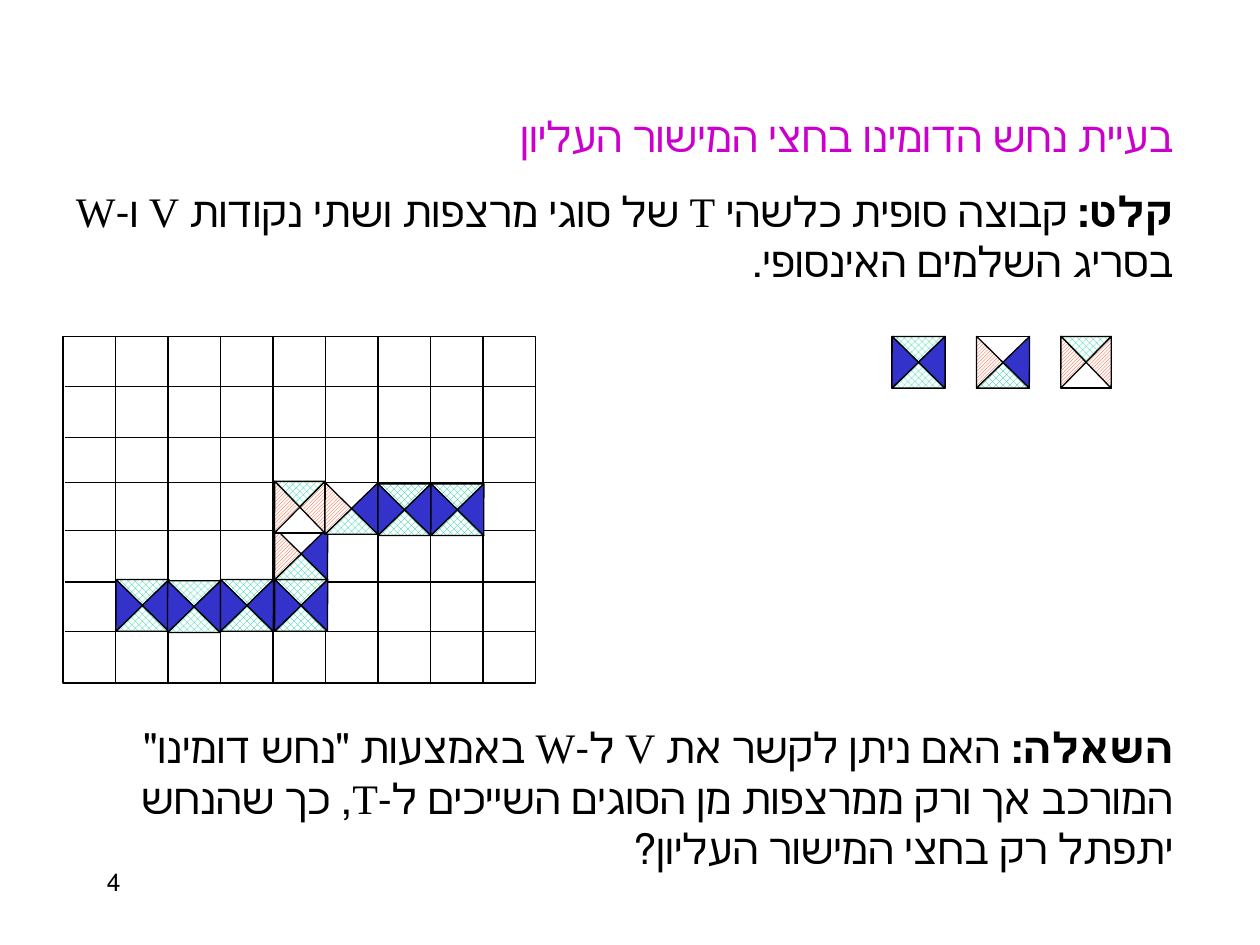
from dataclasses import dataclass

from lxml import etree
from pptx import Presentation
from pptx import util as u
from pptx.dml.color import RGBColor
from pptx.enum import dml, shapes, text
from pptx.oxml.ns import qn


@dataclass(frozen=True)
class Theme:
    ink: str = "000000"
    paper: str = "FFFFFF"
    title: str = "CC00CC"
    blue: str = "3333CC"
    green: str = "00CC99"
    red: str = "FF3300"
    font: str = "Times New Roman"
    body_size: int = 24
    number_size: int = 14
    line_width: float = 0.75


TILE_W, TILE_H = 0.42, 0.41
MIRRORED_W = 0.4
CELL = 3.75 / 9
BOARD = (0.5, 2.67, 3.75, 2.75)
ROW_LINES = (3.07, 3.47, 3.83, 4.21, 4.62, 5.01)

TILES = {
    "straight": {"top": "green", "bottom": "green", "right": "blue", "left": "blue"},
    "turn": {"bottom": "green", "right": "blue", "left": "red"},
    "mirrored": {"top": "green", "left": "red", "right": "red"},
}
SAMPLES = [("turn", 7.75, 2.67), ("straight", 7.08, 2.67), ("mirrored", 8.42, 2.67)]
SNAKE = [
    ("straight", 0.92, 4.6), ("straight", 1.33, 4.61),
    ("straight", 1.75, 4.6), ("straight", 2.18, 4.6),
    ("turn", 2.18, 4.19), ("mirrored", 2.18, 3.82),
    ("turn", 2.58, 3.83), ("straight", 3, 3.84), ("straight", 3.42, 3.84),
]


def color(value):
    return RGBColor.from_string(value)


def add_span(para, content, *, font, size, ink, bold=False):
    span = para.add_run()
    span.text = content
    span.font.name = font
    span.font.size = u.Pt(size)
    span.font.bold = bold
    span.font.color.rgb = color(ink)


class Painter:
    def __init__(self, page, theme):
        self.page = page
        self.theme = theme

    def text(self, left, top, width, height, spans, *, size=None, ink=None,
             align=text.PP_ALIGN.RIGHT):
        """Add a right-to-left paragraph; spans are (wording, bold) pairs."""
        box = self.page.shapes.add_textbox(*map(u.Inches, (left, top, width, height)))
        box.text_frame.word_wrap = True
        para = box.text_frame.paragraphs[0]
        para.alignment = align
        para._p.get_or_add_pPr().set("rtl", "1")
        for content, bold in spans:
            add_span(para, content, font=self.theme.font, bold=bold,
                     size=size or self.theme.body_size, ink=ink or self.theme.ink)

    def outline(self, item):
        item.line.color.rgb = color(self.theme.ink)
        item.line.width = u.Pt(self.theme.line_width)

    def shape(self, group, kind, left, top, width, height, *, rotation=0, flipped=False):
        item = group.shapes.add_shape(kind, *map(u.Inches, (left, top, width, height)))
        item.shadow.inherit = False
        self.outline(item)
        item.rotation = rotation
        if flipped:
            xfrm = item._element.spPr.get_or_add_xfrm()
            xfrm.flipH = xfrm.flipV = True
        return item

    def line(self, group, x1, y1, x2, y2):
        item = group.shapes.add_connector(
            shapes.MSO_CONNECTOR.STRAIGHT, *map(u.Inches, (x1, y1, x2, y2)))
        self.outline(item)
        etree.SubElement(item._element.spPr, qn("a:effectLst"))

    def paint(self, item, name):
        """Blue is solid; green is diamond hatched and red is striped."""
        patterns = {"green": dml.MSO_PATTERN.SOLID_DIAMOND,
                    "red": dml.MSO_PATTERN.DARK_UPWARD_DIAGONAL}
        ink = color(getattr(self.theme, name))
        if name in patterns:
            item.fill.patterned()
            item.fill.pattern = patterns[name]
            item.fill.fore_color.rgb = ink
            item.fill.back_color.rgb = color(self.theme.paper)
        else:
            item.fill.solid()
            item.fill.fore_color.rgb = ink

    def tile(self, kind, left, top):
        group = self.page.shapes.add_group_shape()
        flipped = kind == "mirrored"
        width = MIRRORED_W if flipped else TILE_W
        half_w, half_h = width / 2, TILE_H / 2
        square = self.shape(group, shapes.MSO_SHAPE.RECTANGLE, left, top,
                            width, TILE_H, flipped=flipped)
        self.paint(square, "paper")
        side_top = top + (TILE_H - half_w) / 2
        side_left = left + half_w / 2 - TILE_H / 2
        places = {
            "top": (left, top, width, half_h, 0),
            "bottom": (left, top + half_h, width, half_h, 180),
            "right": (side_left + half_w, side_top, TILE_H, half_w, 90.2),
            "left": (side_left, side_top, TILE_H, half_w, 270.2),
        }
        for side, fill in TILES[kind].items():
            *place, rotation = places[side]
            if flipped:
                rotation = (rotation + 180) % 360
            triangle = self.shape(group, shapes.MSO_SHAPE.FLOWCHART_MERGE, *place,
                                  rotation=rotation, flipped=flipped)
            self.paint(triangle, fill)

    def board(self):
        left, top, width, height = BOARD
        group = self.page.shapes.add_group_shape()
        self.shape(group, shapes.MSO_SHAPE.RECTANGLE, *BOARD).fill.background()
        for column in range(1, 9):
            x = left + column * CELL
            self.line(group, x, top, x, top + height)
        for y in ROW_LINES:
            self.line(group, left + 0.02, y, left + width, y)


def main():
    deck = Presentation()
    deck.slide_width, deck.slide_height = u.Inches(10), u.Inches(7.5)
    theme = Theme()
    painter = Painter(deck.slides.add_slide(deck.slide_layouts[6]), theme)

    painter.text(0.75, 6.83, 2.08, 0.5, [("4", False)],
                 size=theme.number_size, align=text.PP_ALIGN.LEFT)
    painter.text(0.08, 0.83, 9.33, 0.5,
                 [("בעיית נחש הדומינו בחצי המישור העליון", False)], ink=theme.title)
    painter.text(0.08, 1.42, 9.33, 0.9, [
        ("קלט:", True),
        (" קבוצה סופית כלשהי T של סוגי מרצפות ושתי נקודות V ו-W "
         "בסריג השלמים האינסופי.", False),
    ])
    for sample in SAMPLES:
        painter.tile(*sample)
    painter.board()
    painter.text(0.08, 5.68, 9.33, 1.3, [
        ("השאלה: ", True),
        ('האם ניתן לקשר את V ל-W באמצעות "נחש דומינו" המורכב אך ורק ממרצפות '
         "מן הסוגים השייכים ל-T, כך שהנחש יתפתל רק בחצי המישור העליון?", False),
    ])
    for step in SNAKE:
        painter.tile(*step)
    deck.save("out.pptx")


if __name__ == "__main__":
    main()
